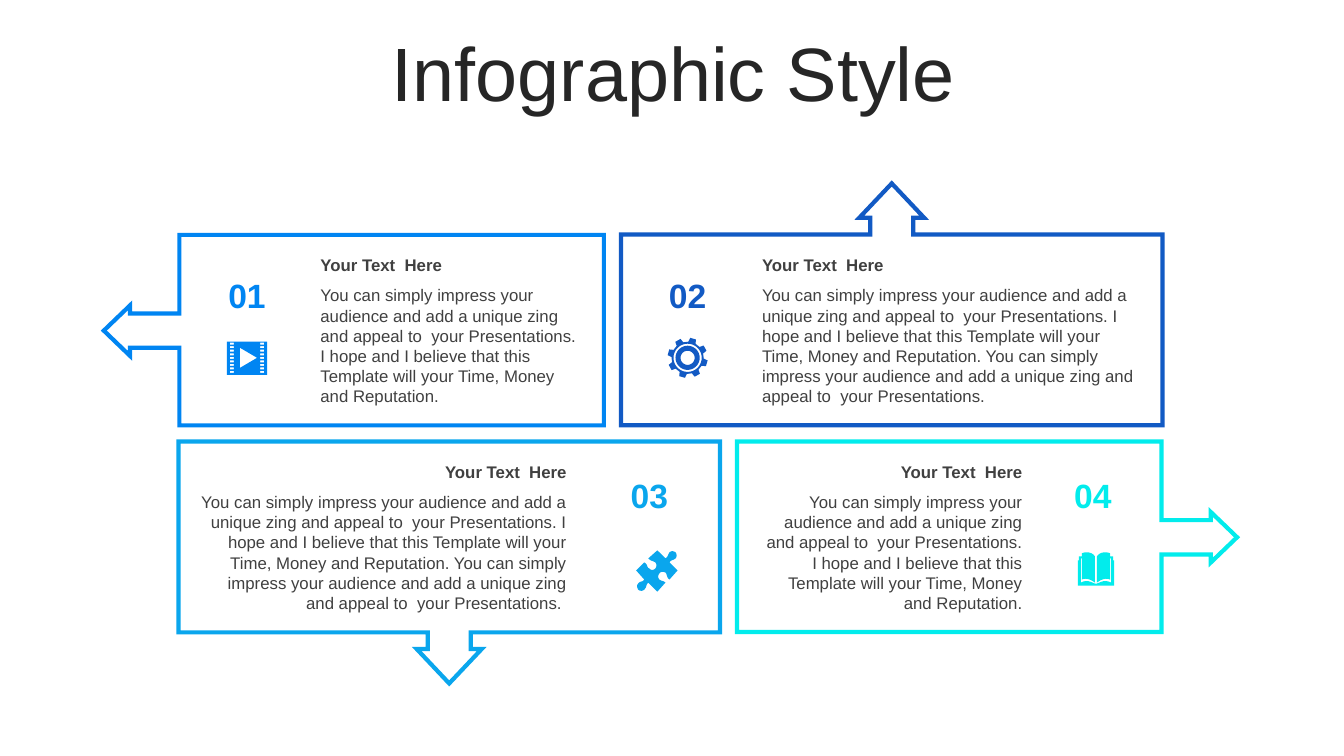
from dataclasses import dataclass
from math import cos, radians, sin

from lxml import etree
from pptx import Presentation
from pptx.dml.color import RGBColor
from pptx.enum.shapes import MSO_SHAPE
from pptx.enum.text import MSO_ANCHOR, MSO_AUTO_SIZE, PP_ALIGN
from pptx.oxml.ns import qn
from pptx.util import Inches, Pt

LEFT, CENTER, RIGHT = PP_ALIGN.LEFT, PP_ALIGN.CENTER, PP_ALIGN.RIGHT
MIDDLE, TOP = MSO_ANCHOR.MIDDLE, MSO_ANCHOR.TOP
UP_CALLOUT = MSO_SHAPE.UP_ARROW_CALLOUT
Point = tuple[float, float]

TITLE_COLOR, TEXT_COLOR = "262626", "404040"
BLUE, NAVY, SKY, CYAN = "0085F2", "125AC4", "0AA6ED", "02ECEC"

PROMISE = "You can simply impress your audience and add a unique zing and appeal to  your Presentations."
SHORT_TEXT = (PROMISE + " I hope and I believe that this Template will your Time, "
              "Money and Reputation.")
LONG_TEXT = f"{SHORT_TEXT} {PROMISE}"


@dataclass
class Panel:
    number: str
    color: str
    number_left: float
    number_top: float
    text_left: float
    text_top: float
    text_width: float
    align: PP_ALIGN
    text: str


PANELS = [
    Panel("01", BLUE, 2.15, 2.68, 3.08, 2.48, 2.76, LEFT, SHORT_TEXT),
    Panel("02", NAVY, 6.52, 2.68, 7.46, 2.48, 3.94, LEFT, LONG_TEXT),
    Panel("03", SKY, 6.14, 4.66, 1.89, 4.53, 3.83, RIGHT, LONG_TEXT + " "),
    Panel("04", CYAN, 10.54, 4.66, 7.48, 4.53, 2.76, RIGHT, SHORT_TEXT),
]

# Outlines: a pair is a corner, six numbers are a Bezier curve
SIDE_CALLOUT = [
    (7.31, 4.38), (11.52, 4.38), (11.52, 5.16), (12.01, 5.16), (12.01, 5.08), (12.27, 5.33),
    (12.01, 5.58), (12.01, 5.5), (11.52, 5.5), (11.52, 6.27), (7.31, 6.27),
]
PUZZLE = [
    (6.7, 5.48), (6.71, 5.49, 6.72, 5.52, 6.7, 5.54), (6.68, 5.56, 6.66, 5.55, 6.64, 5.58),
    (6.72, 5.66), (6.64, 5.75), (6.61, 5.73, 6.62, 5.7, 6.6, 5.68),
    (6.58, 5.67, 6.55, 5.67, 6.54, 5.69), (6.53, 5.7, 6.52, 5.73, 6.54, 5.75),
    (6.57, 5.77, 6.58, 5.76, 6.6, 5.78), (6.52, 5.87), (6.43, 5.78),
    (6.4, 5.81, 6.42, 5.82, 6.39, 5.85), (6.37, 5.87, 6.34, 5.86, 6.33, 5.85),
    (6.32, 5.83, 6.31, 5.81, 6.33, 5.79), (6.35, 5.76, 6.37, 5.78, 6.39, 5.75),
    (6.31, 5.66), (6.39, 5.58), (6.43, 5.6, 6.41, 5.63, 6.44, 5.64),
    (6.46, 5.66, 6.48, 5.66, 6.5, 5.64), (6.51, 5.63, 6.52, 5.6, 6.5, 5.58),
    (6.47, 5.56, 6.46, 5.57, 6.43, 5.54), (6.52, 5.46), (6.6, 5.54),
    (6.63, 5.52, 6.62, 5.51, 6.64, 5.48), (6.66, 5.46, 6.69, 5.47, 6.7, 5.48),
]
BOOK_CENTER = 10.87
BOOK_RIGHT_HALF = [
    (10.87, 5.79), (10.88, 5.79), (10.93, 5.77, 10.96, 5.75, 11.02, 5.78), (11.02, 5.54),
    (11.01, 5.54), (11.01, 5.75), (10.97, 5.73, 10.92, 5.75, 10.88, 5.78), (10.88, 5.52),
    (10.9, 5.49, 10.93, 5.48, 10.96, 5.48), (10.97, 5.48, 10.99, 5.48, 11.01, 5.49),
    (11.01, 5.52), (11.04, 5.52), (11.04, 5.56), (11.05, 5.56), (11.05, 5.81),
]


def rgb(color: str) -> RGBColor:
    return RGBColor.from_string(color)


def flatten(outline: list[tuple], steps: int = 6) -> list[Point]:
    """Turn corners and curves into plain points."""
    points: list[Point] = []
    for part in outline:
        if len(part) == 2:
            points.append(part)
            continue
        x0, y0 = points[-1]
        x1, y1, x2, y2, x3, y3 = part
        for step in range(1, steps + 1):
            t = step / steps
            a, b, c, d = (1 - t) ** 3, 3 * t * (1 - t) ** 2, 3 * t * t * (1 - t), t ** 3
            points.append((a * x0 + b * x1 + c * x2 + d * x3,
                           a * y0 + b * y1 + c * y2 + d * y3))
    return points


def polar(center: Point, radius: float, degrees: float) -> Point:
    angle = radians(degrees)
    return center[0] + radius * cos(angle), center[1] + radius * sin(angle)


def rectangle(left: float, top: float, width: float, height: float) -> list[Point]:
    right, bottom = left + width, top + height
    return [(left, top), (right, top), (right, bottom), (left, bottom)]


def film_contours() -> list[list[Point]]:
    holes = [rectangle(left, 3.4 + 0.035 * row, 0.04, 0.02)
             for left in (2.28, 2.58) for row in range(9)]
    play = [(2.38, 3.45), (2.55, 3.55), (2.38, 3.65)]
    return [rectangle(2.25, 3.39, 0.4, 0.33), *holes, play]


def gear_contours() -> list[list[Point]]:
    center = (6.82, 3.55)
    tooth = [(0.16, -13.5), (0.2, -8.5), (0.2, 8.5), (0.16, 13.5)]
    rim = [polar(center, radius, 16 + 45 * number + offset)
           for number in range(8) for radius, offset in tooth]
    rings = [[polar(center, radius, 10 * step) for step in range(36)]
             for radius in (0.14, 0.12, 0.07)]
    return [rim, *rings]


def book_contours() -> list[list[Point]]:
    half = flatten(BOOK_RIGHT_HALF)
    return [half + [(2 * BOOK_CENTER - x, y) for x, y in reversed(half)]]


def add_outline(page, contours: list[list[Point]]):
    builder = None
    for contour in contours:
        start, *rest = [(Inches(x), Inches(y)) for x, y in contour]
        if builder is None:
            builder = page.shapes.build_freeform(*start)
        else:
            builder.move_to(*start)
        builder.add_line_segments(rest, close=True)
    shape = builder.convert_to_shape()
    shape.shadow.inherit = False
    return shape


def add_icon(page, contours: list[list[Point]], color: str) -> None:
    icon = add_outline(page, contours)
    icon.fill.solid()
    icon.fill.fore_color.rgb = rgb(color)
    icon.line.fill.background()


def style_frame(frame, color: str) -> None:
    frame.shadow.inherit = False
    frame.fill.background()
    frame.line.color.rgb = rgb(color)
    frame.line.width = Pt(3)
    line = frame.line._get_or_add_ln()
    etree.SubElement(line, qn("a:miter"), lim="800000")


def add_arrow_callout(page, left: float, top: float, rotation: int, color: str) -> None:
    frame = page.shapes.add_shape(UP_CALLOUT, Inches(left), Inches(top), Inches(5.37), Inches(2.4))
    frame.rotation = rotation
    for index, value in enumerate((0.178, 0.134, 0.142, 0.789)):
        frame.adjustments[index] = value
    style_frame(frame, color)


def add_text(page, bounds: tuple[float, float, float, float], text: str, size: int, color: str,
             align: PP_ALIGN, bold: bool = False, anchor: MSO_ANCHOR = TOP):
    box = page.shapes.add_textbox(*map(Inches, bounds))
    frame = box.text_frame
    frame.word_wrap = True
    frame.auto_size = MSO_AUTO_SIZE.NONE
    frame.vertical_anchor = anchor
    para = frame.paragraphs[0]
    para.text = text
    para.alignment = align
    para.font.name, para.font.size, para.font.bold = "Arial", Pt(size), bold
    para.font.color.rgb = rgb(color)
    return para


def main() -> None:
    deck = Presentation()
    deck.slide_width, deck.slide_height = Inches(13.33), Inches(7.5)
    page = deck.slides.add_slide(deck.slide_layouts[6])

    # Title
    title = add_text(page, (0.35, 0.37, 12.66, 0.79), "Infographic Style", 54, TITLE_COLOR,
                     CENTER, anchor=MIDDLE)
    title.line_spacing = 0.9

    # Callout frames: the left one is the right one mirrored and moved up
    add_arrow_callout(page, 6.16, 1.82, 0, NAVY)
    add_arrow_callout(page, 1.77, 4.38, 180, SKY)
    style_frame(add_outline(page, [SIDE_CALLOUT]), CYAN)
    mirrored = [(13.3 - x, y - 2.05) for x, y in SIDE_CALLOUT]
    style_frame(add_outline(page, [mirrored]), BLUE)

    # Panel texts
    for panel in PANELS:
        left, top, width = panel.text_left, panel.text_top, panel.text_width
        add_text(page, (panel.number_left, panel.number_top, 0.6, 0.5), panel.number, 24,
                 panel.color, CENTER, bold=True)
        add_text(page, (left, top, width, 0.3), "Your Text  Here", 12, TEXT_COLOR,
                 panel.align, bold=True)
        add_text(page, (left, top + 0.3, width, 1.31), panel.text, 12, TEXT_COLOR, panel.align)

    # Icons
    add_icon(page, film_contours(), BLUE)
    add_icon(page, gear_contours(), NAVY)
    add_icon(page, [flatten(PUZZLE)], SKY)
    add_icon(page, book_contours(), CYAN)

    deck.save("out.pptx")


if __name__ == "__main__":
    main()
